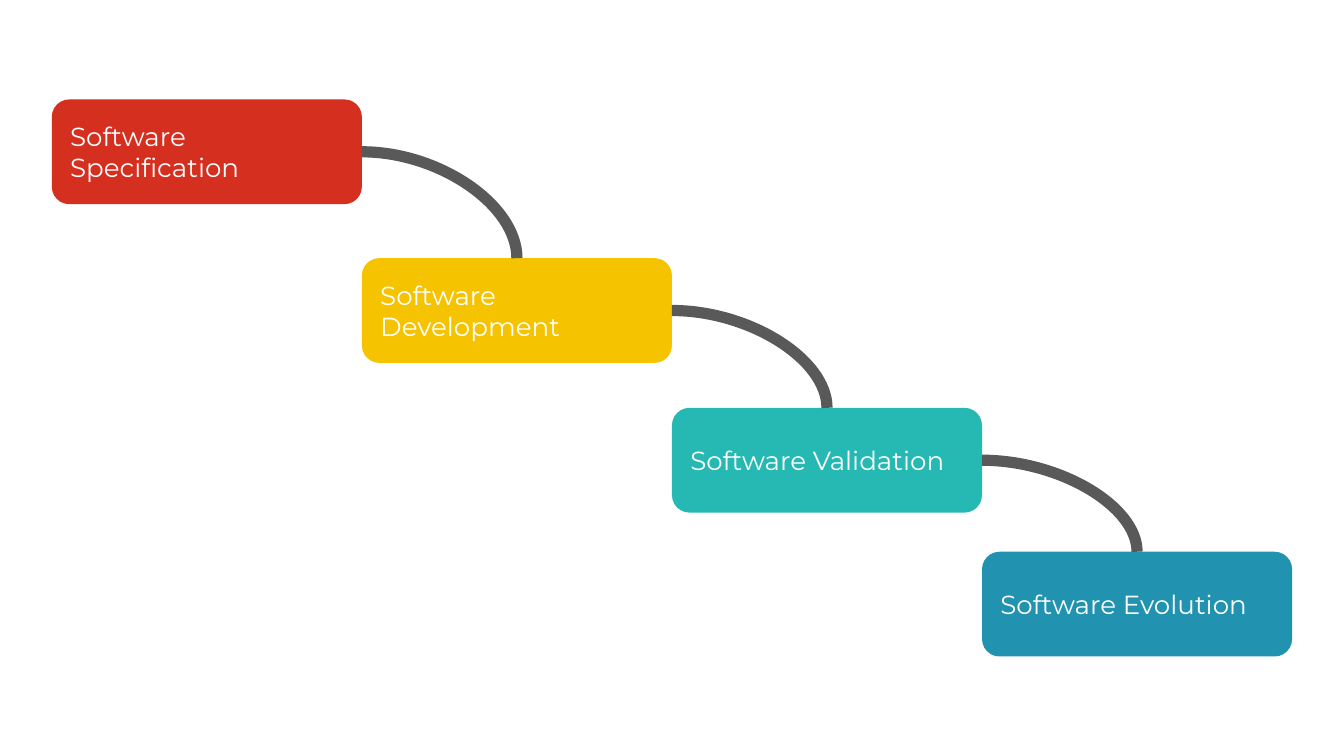
from dataclasses import dataclass

from lxml import etree
from pptx import Presentation
from pptx.dml.color import RGBColor
from pptx.enum.shapes import MSO_CONNECTOR, MSO_SHAPE
from pptx.enum.text import MSO_ANCHOR, PP_ALIGN
from pptx.oxml.ns import qn
from pptx.util import Cm, Pt

BOX = MSO_SHAPE.FLOWCHART_ALTERNATE_PROCESS
CURVE = MSO_CONNECTOR.CURVE
MIDDLE = MSO_ANCHOR.MIDDLE
LEFT = PP_ALIGN.LEFT
TOP_SIDE, RIGHT_SIDE = 0, 3

# Content: label, fill colour, top in cm
STEPS = [
    ("Software Specification", "D52F20", 1.88),
    ("Software Development", "F5C300", 4.88),
    ("Software Validation", "26B9B3", 7.71),
    ("Software Evolution", "2193B0", 10.43),
]


@dataclass(frozen=True)
class Theme:
    font: str = "Montserrat"
    text_size: int = 14
    text_color: str = "FFFFFF"
    line_color: str = "595959"
    line_width: int = 6


THEME = Theme()

# Layout in cm: each box starts where the one before ends
SLIDE_WIDTH, SLIDE_HEIGHT = 25.4, 14.29
FIRST_LEFT = 0.98
BOX_WIDTH, BOX_HEIGHT = 5.86, 1.98
INSET = 0.25


def add_step(slide, index, label, color, top):
    shape = slide.shapes.add_shape(
        BOX, Cm(FIRST_LEFT + index * BOX_WIDTH), Cm(top), Cm(BOX_WIDTH), Cm(BOX_HEIGHT))
    shape.shadow.inherit = False
    shape.fill.solid()
    shape.fill.fore_color.rgb = RGBColor.from_string(color)
    shape.line.fill.background()

    frame = shape.text_frame
    frame.word_wrap = True
    frame.vertical_anchor = MIDDLE
    frame.margin_left = frame.margin_right = Cm(INSET)
    frame.margin_top = frame.margin_bottom = Cm(INSET)
    paragraph = frame.paragraphs[0]
    paragraph.text = label
    paragraph.alignment = LEFT
    paragraph.font.name = THEME.font
    paragraph.font.size = Pt(THEME.text_size)
    paragraph.font.color.rgb = RGBColor.from_string(THEME.text_color)
    return shape


def join_steps(slide, upper, lower):
    connector = slide.shapes.add_connector(
        CURVE,
        upper.left + upper.width, upper.top + upper.height // 2,
        lower.left + lower.width // 2, lower.top)
    connector.begin_connect(upper, RIGHT_SIDE)
    connector.end_connect(lower, TOP_SIDE)
    connector.line.color.rgb = RGBColor.from_string(THEME.line_color)
    connector.line.width = Pt(THEME.line_width)
    # A single bend, and no shadow
    properties = connector._element.spPr
    properties.find(qn("a:prstGeom")).set("prst", "curvedConnector2")
    etree.SubElement(properties, qn("a:effectLst"))


def main():
    presentation = Presentation()
    presentation.slide_width = Cm(SLIDE_WIDTH)
    presentation.slide_height = Cm(SLIDE_HEIGHT)
    blank_layout = presentation.slide_layouts[6]
    slide = presentation.slides.add_slide(blank_layout)

    # Staircase of steps, then the curves between neighbours
    boxes = [add_step(slide, index, *step) for index, step in enumerate(STEPS)]
    for upper, lower in zip(boxes, boxes[1:]):
        join_steps(slide, upper, lower)

    presentation.save("out.pptx")


if __name__ == "__main__":
    main()
